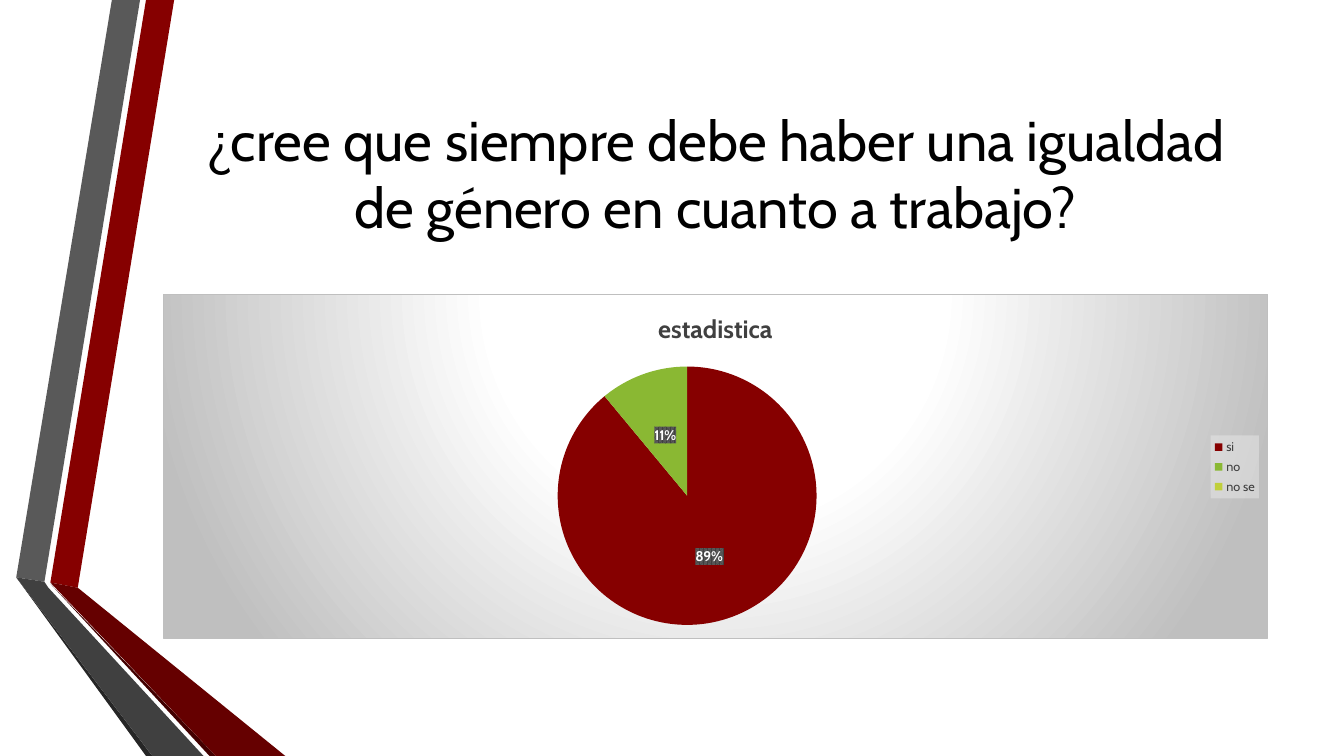
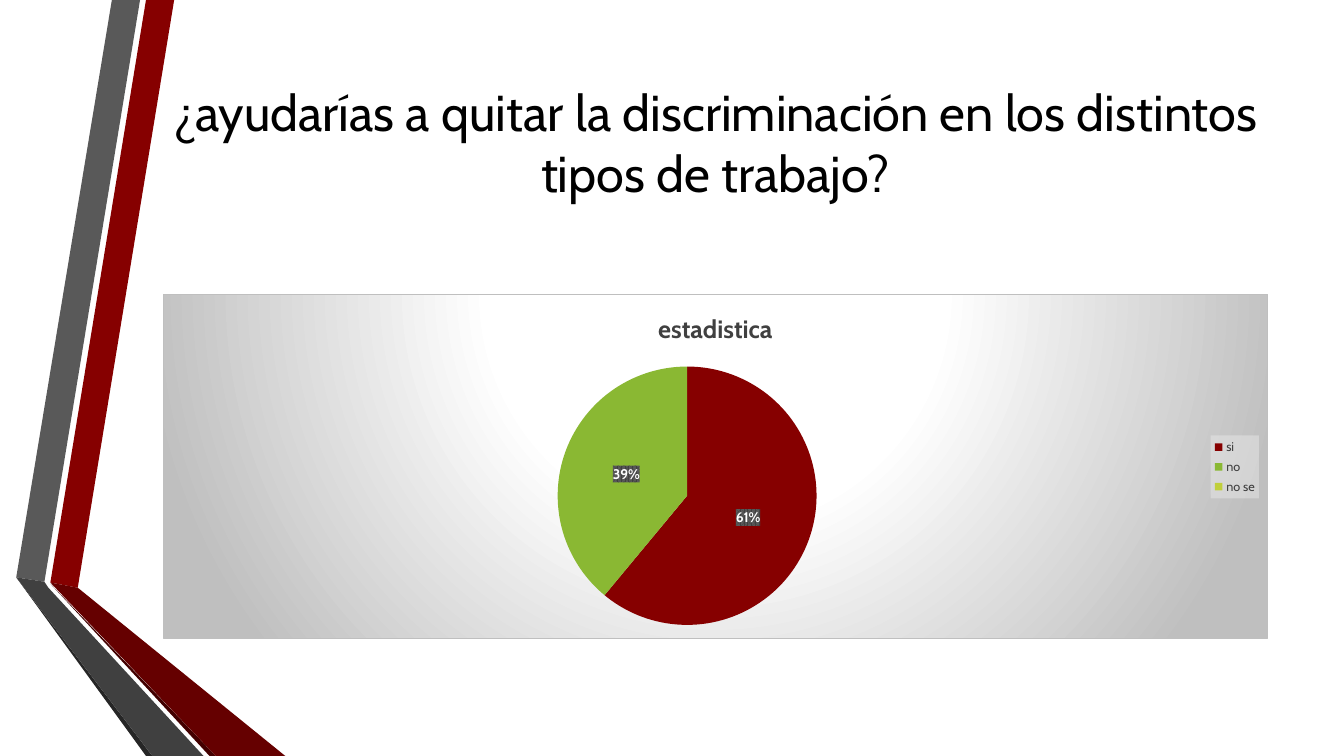
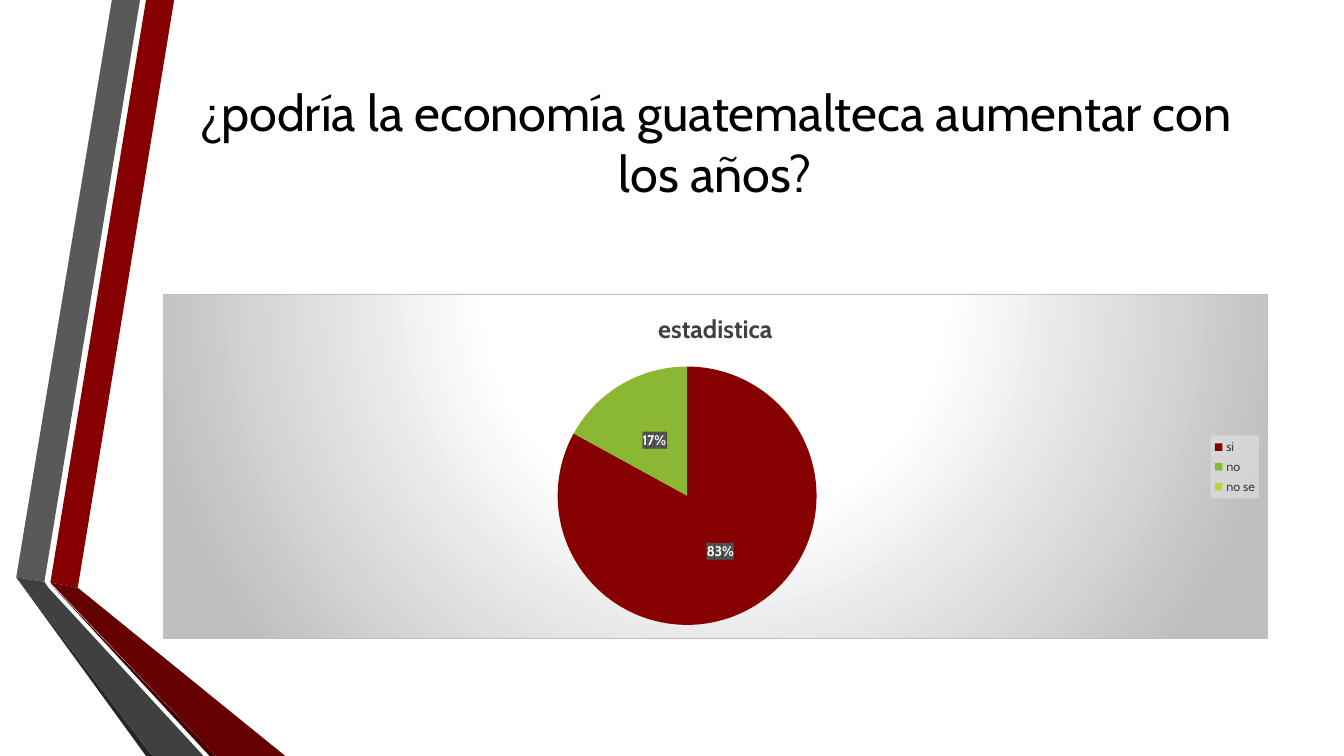
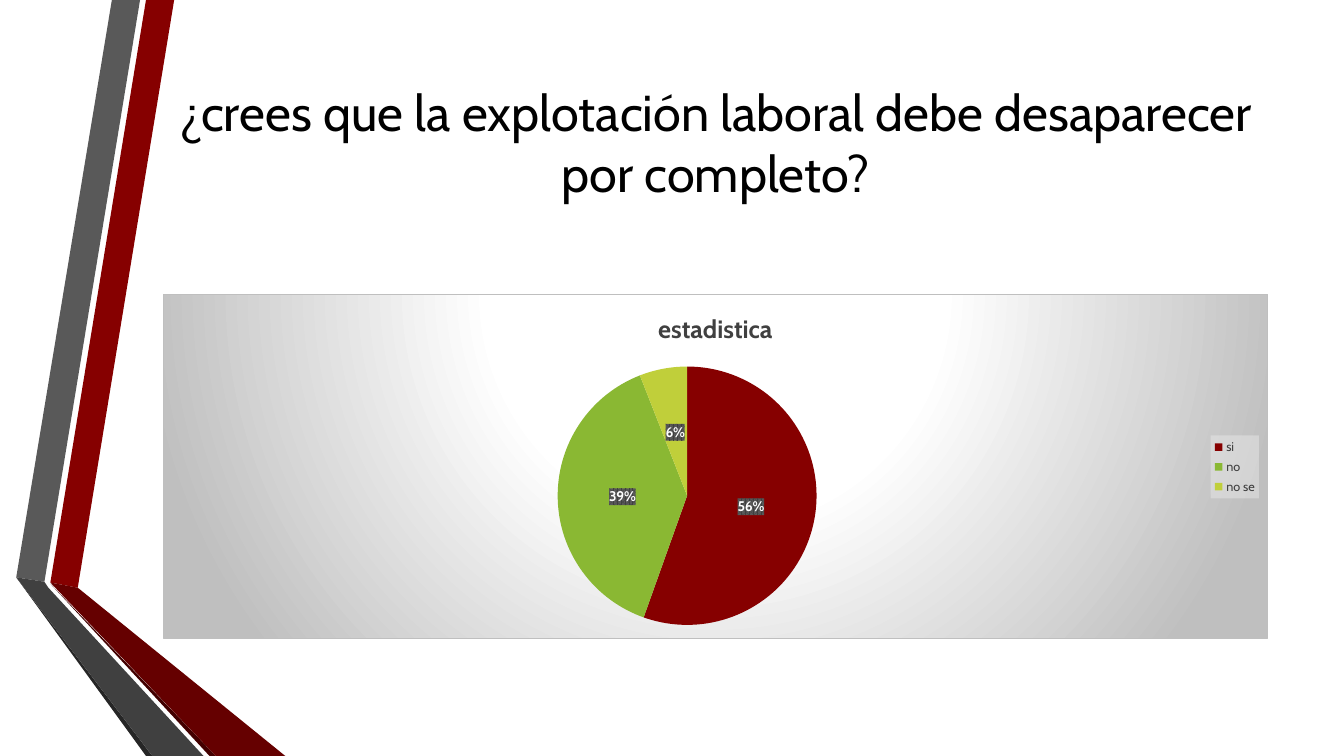
"""Build four survey slides, each with a question and a pie chart of the answers."""
import lxml.etree
import pptx
import pptx.chart.data
import pptx.dml.color
import pptx.enum.chart
import pptx.enum.text
import pptx.oxml.ns
import pptx.util

Cm = pptx.util.Cm
Pt = pptx.util.Pt
FONT = "Cabin"
COLORS = {
    "black": "000000",
    "white": "FFFFFF",
    "red": "860000",
    "red_dark": "650000",
    "red_deep": "430000",
    "gray": "595959",
    "gray_dark": "404040",
    "gray_deep": "262626",
    "silver": "BFBFBF",
    "mist": "F2F2F2",
    "green": "8AB833",
    "lime": "C0CF3A",
}
ANSWERS = {"si": "red", "no": "green", "no se": "lime"}
LEFT, WIDTH = Cm(4.11), Cm(27.84)
BANDS = [
    ("red", [(1.27, 14.68), (1.96, 14.81), (4.39, 0), (3.68, 0)]),
    ("gray", [(3.53, 0), (2.82, 0), (0.41, 14.55), (1.12, 14.66)]),
    ("gray_deep", [(0.41, 14.55), (3.68, 19.05), (3.84, 19.05)]),
    ("red_deep", [(1.27, 14.71), (5.28, 19.05), (5.44, 19.05)]),
    ("red_dark", [(1.27, 14.68), (5.44, 19.05), (7.19, 19.05), (1.96, 14.81)]),
    ("gray_dark", [(5.13, 19.05), (1.22, 14.81), (1.12, 14.66), (0.41, 14.55), (3.84, 19.05)]),
]
QUESTIONS = [
    ("¿cree que siempre debe haber una igualdad de género en cuanto a trabajo?", 40, 4.88, (89, 11, 0)),
    ("¿ayudarías a quitar la discriminación en los distintos tipos de trabajo?", 36, 3.34, (61, 39, 0)),
    ("¿podría la economía guatemalteca aumentar con los años?", 36, 3.34, (83, 17, 0)),
    ("¿crees que la explotación laboral debe desaparecer por completo?", 36, 3.34, (56, 39, 6)),
]


def rgb(name):
    return pptx.dml.color.RGBColor.from_string(COLORS[name])


def style(font, size, color, bold=False):
    font.name = FONT
    font.size = Pt(size)
    font.bold = bold
    font.color.rgb = rgb(color)


color_xml = {name: f'<a:srgbClr val="{value}"/>' for name, value in COLORS.items()}
CHART_FILL = f"""<a:gradFill><a:gsLst>
<a:gs pos="0">{color_xml["white"]}</a:gs><a:gs pos="39000">{color_xml["white"]}</a:gs>
<a:gs pos="100000">{color_xml["silver"]}</a:gs></a:gsLst>
<a:path path="circle"><a:fillToRect l="50000" t="-80000" r="50000" b="180000"/></a:path></a:gradFill>
<a:ln w="9525"><a:solidFill>{color_xml["silver"]}</a:solidFill></a:ln>"""
LEGEND_FILL = f"""<a:solidFill><a:srgbClr val="{COLORS["mist"]}">
<a:alpha val="39000"/></a:srgbClr></a:solidFill>"""
LABEL_FILL = f"""<a:pattFill prst="pct75"><a:fgClr>{color_xml["gray_dark"]}</a:fgClr>
<a:bgClr>{color_xml["gray"]}</a:bgClr></a:pattFill>"""

deck = pptx.Presentation()
deck.slide_width, deck.slide_height = Cm(33.87), Cm(19.05)
blank = deck.slide_layouts[6]
pages = [deck.slides.add_slide(blank) for question in QUESTIONS]

for color, points in BANDS:
    corners = [(Cm(x), Cm(y)) for x, y in points]
    outline = pages[0].shapes.build_freeform(*corners[0], scale=1.0)
    outline.add_line_segments(corners[1:], close=True)
    band = outline.convert_to_shape()
    band.shadow.inherit = False
    band.fill.solid()
    band.fill.fore_color.rgb = rgb(color)
    band.line.fill.background()
    blank.shapes.element.append(band.element)

for page, (question, size, height, values) in zip(pages, QUESTIONS):
    box = page.shapes.add_textbox(LEFT, Cm(1.9), WIDTH, Cm(height))
    box.text_frame.word_wrap = True
    box.text_frame.vertical_anchor = pptx.enum.text.MSO_ANCHOR.MIDDLE
    para = box.text_frame.paragraphs[0]
    para.text = question
    para.alignment = pptx.enum.text.PP_ALIGN.CENTER
    style(para.font, size, "black")

    data = pptx.chart.data.CategoryChartData()
    data.categories = list(ANSWERS)
    data.add_series("estadistica", values)
    chart = page.shapes.add_chart(
        pptx.enum.chart.XL_CHART_TYPE.PIE, LEFT, Cm(7.42), WIDTH, Cm(8.69), data
    ).chart
    style(chart.font, 10, "black")

    chart.has_title = True
    heading = chart.chart_title.text_frame.paragraphs[0]
    heading.text = "estadistica"
    style(heading.font, 18, "gray_dark", True)
    chart.chart_title.include_in_layout = False

    chart.has_legend = True
    chart.legend.position = pptx.enum.chart.XL_LEGEND_POSITION.RIGHT
    chart.legend.include_in_layout = False
    style(chart.legend.font, 9, "gray_dark")

    pie = chart.plots[0]
    pie.vary_by_categories = True
    for index, color in enumerate(ANSWERS.values()):
        slice_fill = pie.series[0].points[index].format.fill
        slice_fill.solid()
        slice_fill.fore_color.rgb = rgb(color)

    labels = pie.series[0].data_labels
    labels.show_value = True
    labels.number_format = '0"%"'
    labels.number_format_is_linked = False
    labels.position = pptx.enum.chart.XL_LABEL_POSITION.CENTER
    style(labels.font, 10, "white", True)

    root = chart.element
    for owner, fill in [
        (root, CHART_FILL),
        (root.xpath(".//c:legend")[0], LEGEND_FILL),
        (root.xpath(".//c:ser/c:dLbls")[0], LABEL_FILL),
    ]:
        look = lxml.etree.fromstring(f'<c:spPr {pptx.oxml.ns.nsdecls("c", "a")}>{fill}</c:spPr>')
        owner.find(pptx.oxml.ns.qn("c:txPr")).addprevious(look)

deck.save("out.pptx")
